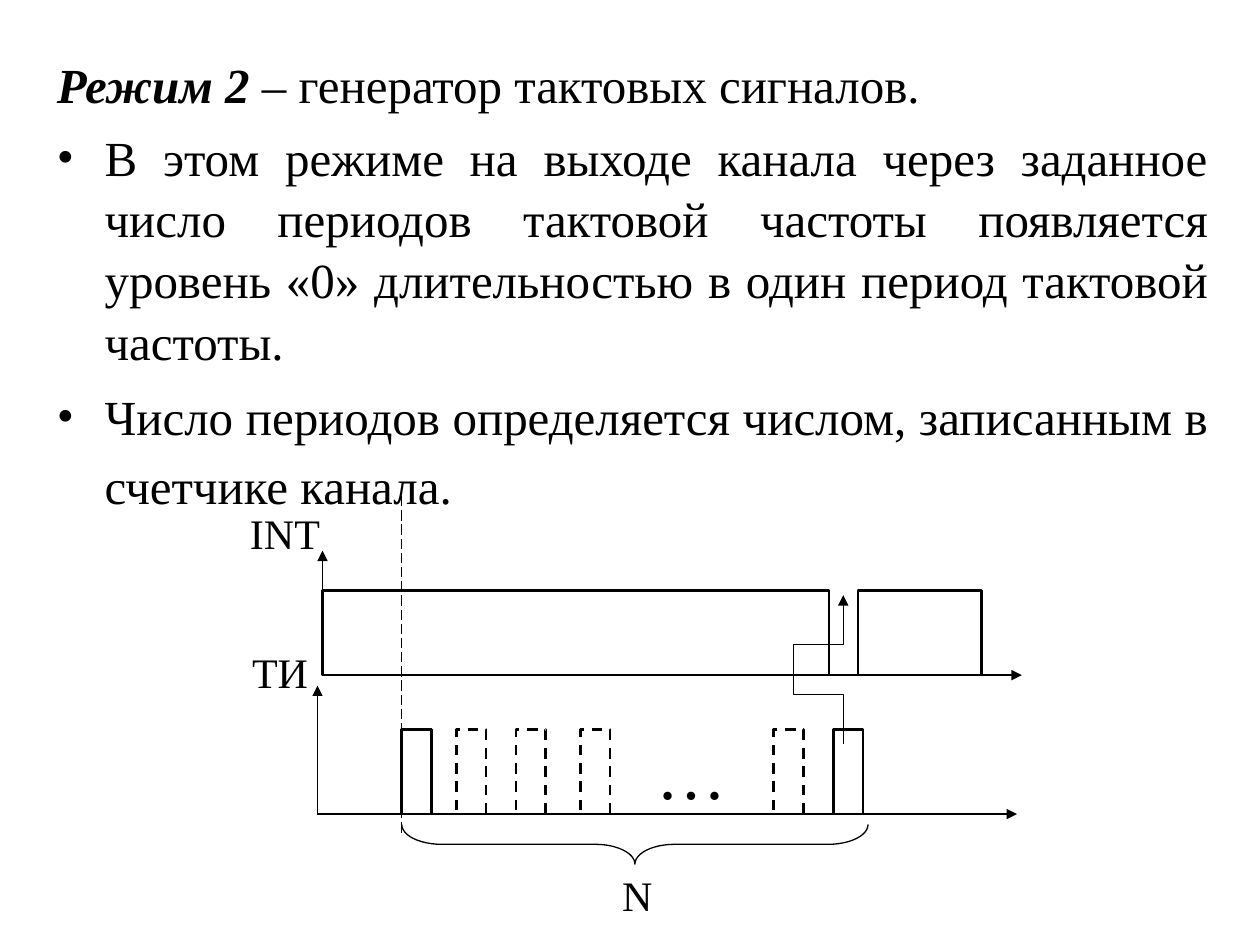
import pptx
import pptx.util
import pptx.dml.color
import pptx.enum.dml
import pptx.enum.shapes
import pptx.enum.text
import pptx.oxml
import pptx.oxml.ns

Cm, Pt = pptx.util.Cm, pptx.util.Pt
SHAPE = pptx.enum.shapes.MSO_SHAPE
DASH = pptx.enum.dml.MSO_LINE
ALIGN = pptx.enum.text.PP_ALIGN
FONT, BLACK = "Times New Roman", "000000"


def color(hex_code):
    return pptx.dml.color.RGBColor.from_string(hex_code)


def add_xml(parent, tag, **attrs):
    child = pptx.oxml.parse_xml(f'<a:{tag} {pptx.oxml.ns.nsdecls("a")}/>')
    for name, value in attrs.items():
        child.set(name, str(value))
    parent.append(child)


def add_run(p, text, size=24, bold=False, italic=False):
    r = p.add_run()
    r.text = text
    r.font.name, r.font.size = FONT, Pt(size)
    r.font.bold, r.font.italic = bold, italic
    r.font.color.rgb = color(BLACK)


def add_box(s, x, y, w, h):
    tf = s.shapes.add_textbox(Cm(x), Cm(y), Cm(w), Cm(h)).text_frame
    tf.word_wrap = True
    return tf


def add_label(s, x, y, text, h=1.32, size=24):
    p = add_box(s, x, y, 2.49, h).paragraphs[0]
    p.alignment = ALIGN.CENTER
    add_run(p, text, size)


def style_line(sp, width, dash=None):
    sp.line.color.rgb = color(BLACK)
    sp.line.width = Pt(width)
    if dash:
        sp.line.dash_style = dash


def add_arrowhead(sp):
    add_xml(sp.line._get_or_add_ln(), "tailEnd", type="triangle")


def add_line(s, x1, y1, x2, y2, arrow=True, dash=None):
    sp = s.shapes.add_connector(pptx.enum.shapes.MSO_CONNECTOR.STRAIGHT,
                                Cm(x1), Cm(y1), Cm(x2), Cm(y2))
    style_line(sp, 0.75, dash)
    if arrow:
        add_arrowhead(sp)
    add_xml(sp._element.spPr, "effectLst")


def add_outline(s, kind, x, y, w, h, width=1.5, dash=None):
    sp = s.shapes.add_shape(kind, Cm(x), Cm(y), Cm(w), Cm(h))
    sp.shadow.inherit = False
    sp.fill.background()
    style_line(sp, width, dash)
    return sp


def bezier(p0, p1, p2, p3, steps=12):
    for i in range(1, steps + 1):
        t = i / steps
        u = 1 - t
        yield tuple(u**3 * a + 3 * u * u * t * b + 3 * u * t * t * c + t**3 * d
                    for a, b, c, d in zip(p0, p1, p2, p3))


def add_curve(s, x, y, points):
    points = [(x + px, y + py) for px, py in points]
    vertices = [v for i in range(0, len(points) - 1, 3)
                for v in bezier(*points[i:i + 4])]
    builder = s.shapes.build_freeform(*points[0], scale=float(Cm(1)))
    builder.add_line_segments(vertices, close=False)
    sp = builder.convert_to_shape()
    sp.shadow.inherit = False
    sp.fill.background()
    style_line(sp, 0.75)
    add_arrowhead(sp)


def description(s, x, y, w, h):
    tf = add_box(s, x, y, w, h)
    paragraphs = [
        # runs, bullet, space before, line spacing
        ([("Режим\u00a02", True), (" – генератор тактовых сигналов.", False)], False, 0, 1.04),
        ([("В этом режиме на выходе канала через заданное число периодов тактовой "
           "частоты появляется уровень «0» длительностью в один период тактовой "
           "частоты.", False)], True, 7, 1.04),
        ([("Число периодов определяется числом, записанным в счетчике канала.",
           False)], True, 3.5, 1.18),
    ]
    for i, (runs, bullet, before, spacing) in enumerate(paragraphs):
        p = tf.paragraphs[0] if i == 0 else tf.add_paragraph()
        p.alignment = ALIGN.JUSTIFY
        p.line_spacing, p.space_before = spacing, Pt(before)
        pPr = p._p.get_or_add_pPr()
        pPr.set("marL", str(Cm(0.96)))
        pPr.set("indent", str(-Cm(0.96)))
        if bullet:
            add_xml(pPr, "buFont", typeface=FONT)
            add_xml(pPr, "buChar", char="•")
        for text, strong in runs:
            add_run(p, text, 28, strong, strong)


def timing_diagram(s, x, y):
    pulse_h = 1.7
    int_base, clock_base = y + 3.61, y + 6.41

    # INT signal: axes, two high levels
    add_line(s, x + 2.1, int_base, x + 16.2, int_base)
    add_line(s, x + 2.1, int_base, x + 2.1, y + 1.1)
    for left, width in ((2.1, 10.21), (12.9, 2.49)):
        add_outline(s, SHAPE.RECTANGLE, x + left, int_base - pulse_h, width, pulse_h)

    # Clock signal: axes, pulses
    add_line(s, x + 2, clock_base, x + 16.1, clock_base)
    add_line(s, x + 2, clock_base, x + 2, y + 3.82)
    pulses = ((3.7, None), (4.8, DASH.DASH), (6, DASH.DASH), (7.3, DASH.DASH),
              (11.2, DASH.DASH), (12.4, None))
    for left, dash in pulses:
        add_outline(s, SHAPE.RECTANGLE, x + left, clock_base - pulse_h, 0.6, pulse_h, dash=dash)

    # Start of counting
    add_line(s, x + 3.7, y, x + 3.7, y + 6.81, arrow=False, dash=DASH.LONG_DASH)

    # Brace over N periods, turned to point down
    brace_w, brace_h = 0.8, 9.4
    brace = add_outline(s, SHAPE.LEFT_BRACE, x + 8.4 - brace_w / 2,
                        y + 7.02 - brace_h / 2, brace_w, brace_h, width=0.75)
    brace.adjustments[0] = 1
    brace.rotation = 270

    # Last pulse triggers the output change
    add_curve(s, x, y, [(12.4, 4.71), (12.11, 4.17), (11.83, 3.64), (11.8, 3.28),
                        (11.8, 2.9), (12.26, 2.62), (12.34, 2.5)])

    # Labels
    add_label(s, x + 0.1, y + 0.11, "INT")
    add_label(s, x, y + 2.9, "ТИ")
    add_label(s, x + 7.2, y + 7.4, "N")
    add_label(s, x + 8.3, y + 4.58, "…", h=2, size=40)


def main():
    prs = pptx.Presentation()
    prs.slide_width, prs.slide_height = Cm(25.4), Cm(19.05)
    s = prs.slides.add_slide(prs.slide_layouts[6])
    description(s, 0.9, 0.92, 23.7, 9.5)
    timing_diagram(s, 4.4, 10)
    prs.save("out.pptx")


if __name__ == "__main__":
    main()
